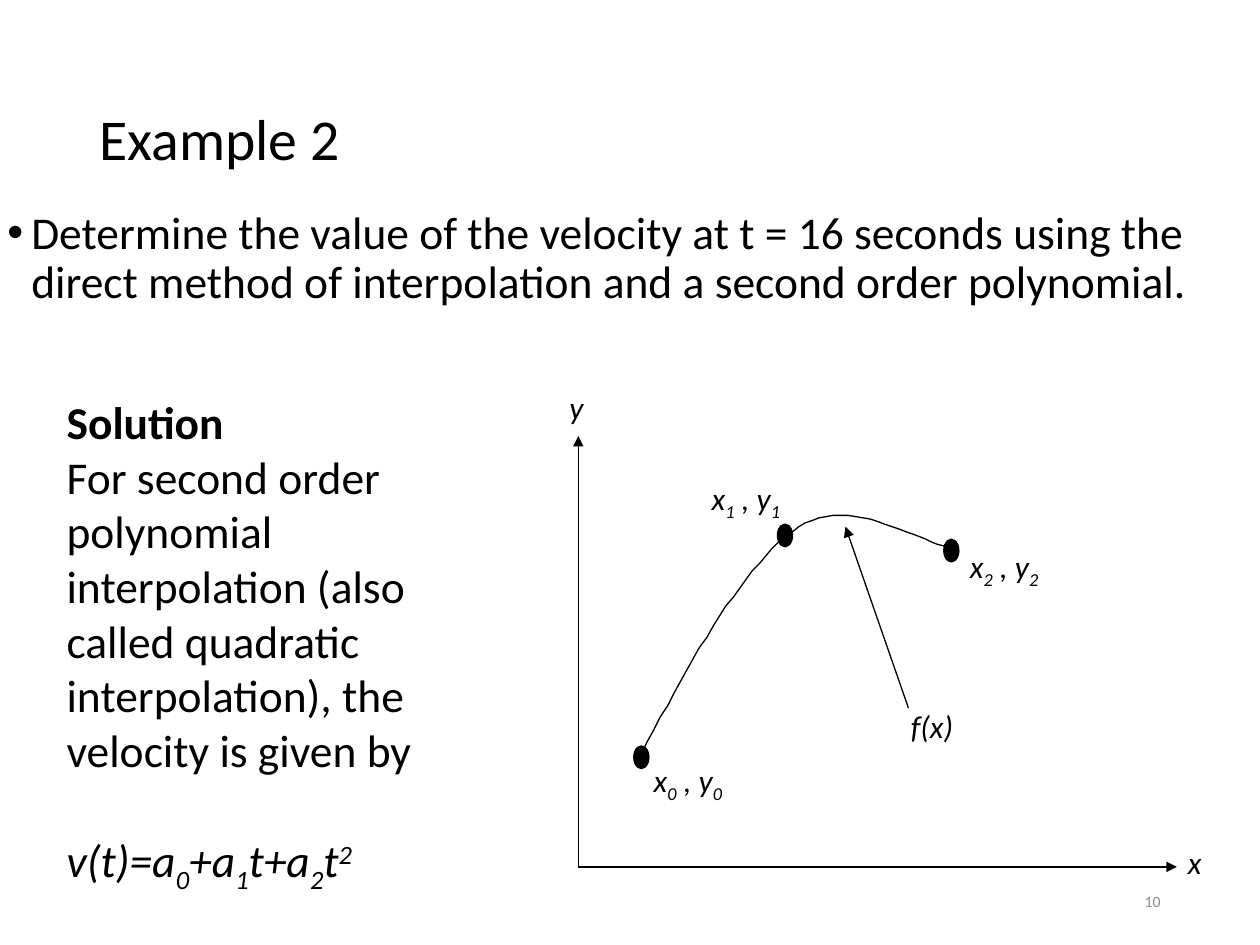
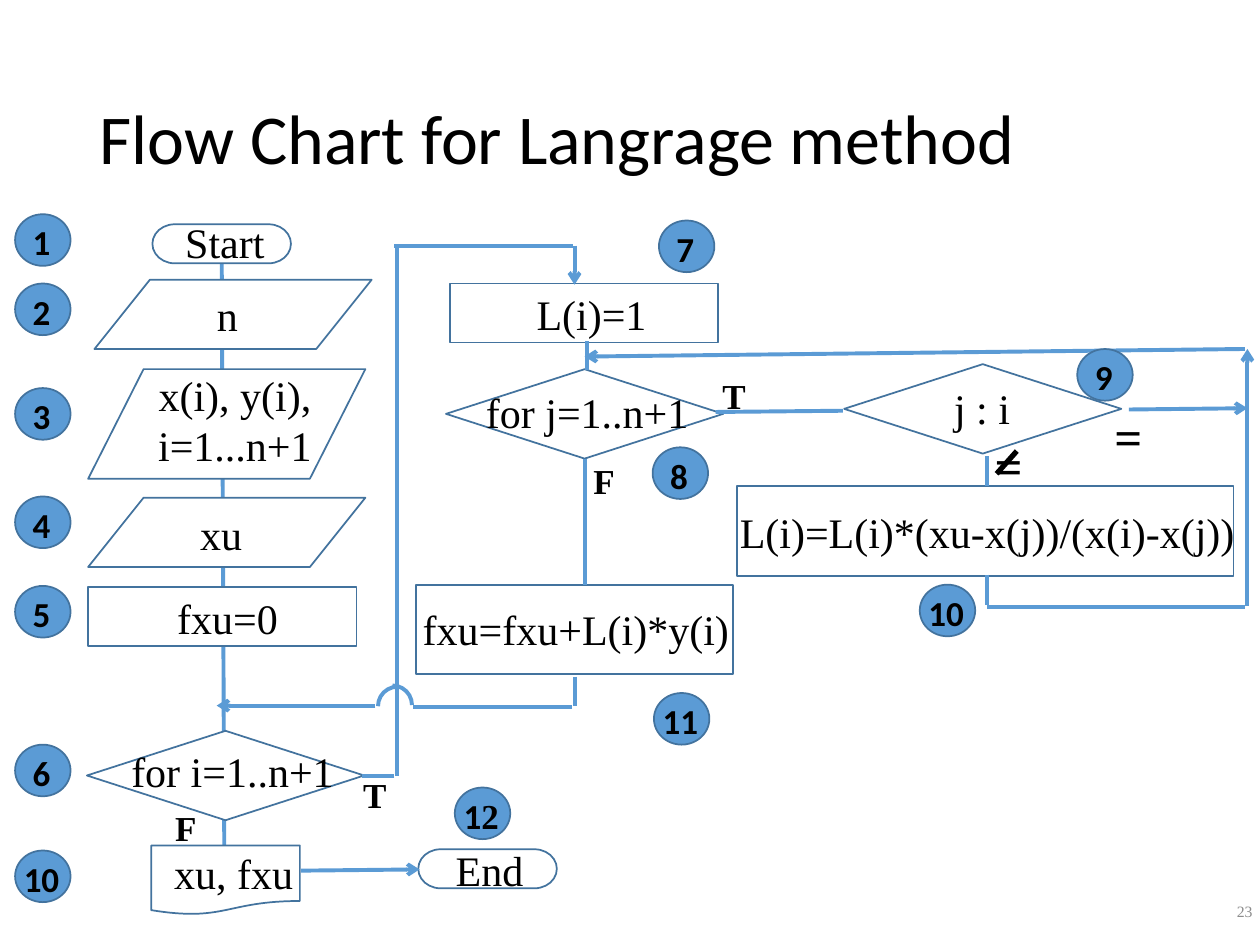
from dataclasses import dataclass, replace
from typing import NamedTuple

from lxml.etree import SubElement
from pptx import Presentation
from pptx.dml.color import RGBColor
from pptx.enum.shapes import MSO_CONNECTOR, MSO_SHAPE
from pptx.enum.text import MSO_ANCHOR, MSO_AUTO_SIZE, PP_ALIGN
from pptx.oxml.ns import qn
from pptx.shapes.autoshape import Shape
from pptx.slide import Slide
from pptx.text.text import TextFrame
from pptx.util import Emu, Pt

PX = 9144  # 100 px to the inch
COLORS = {"ink": "000000", "paper": "FFFFFF", "blue": "5B9BD5",
          "edge": "43739E", "muted": "8C8C8C"}
SANS, SERIF = "Calibri", "Times New Roman"
TITLE_BOX = (69, 40, 862, 145)


class Run(NamedTuple):
    text: str
    base: int = 0
    font: str = ""


class Box(NamedTuple):
    x: int
    y: int
    w: int
    h: int


@dataclass(frozen=True)
class Style:
    size: int
    font: str = SANS
    color: str = "ink"
    bold: bool = False
    italic: bool = False
    align: PP_ALIGN = PP_ALIGN.LEFT
    spacing: float = 1.0


@dataclass(frozen=True)
class Node:
    shape: MSO_SHAPE
    box: Box
    label: str
    label_box: Box
    filled: bool = True


class Wire(NamedTuple):
    x1: int
    y1: int
    x2: int
    y2: int
    arrow: str = ""


class Badge(NamedTuple):
    x: int
    y: int
    runs: list[Run]


TEXT = Style(26)
AXIS = Style(18, italic=True)
STEP = Style(24, SERIF, align=PP_ALIGN.CENTER)
BRANCH = replace(STEP, size=20, bold=True)
SIGN = replace(BRANCH, size=28)
BADGE = Style(20, bold=True, align=PP_ALIGN.CENTER)
NUMBER = Style(9, color="muted", align=PP_ALIGN.RIGHT)


def px(*values: int) -> list[Emu]:
    return [Emu(round(v * PX)) for v in values]


def rgb(name: str) -> RGBColor:
    return RGBColor.from_string(COLORS[name])


def write(tf: TextFrame, runs: list[Run], style: Style, new: bool = False):
    """Fill the first paragraph, or a new one, and return it."""
    p = tf.add_paragraph() if new else tf.paragraphs[0]
    p.alignment = style.align
    p.line_spacing = style.spacing
    for run in runs:
        r = p.add_run()
        r.text = run.text
        r.font.name = run.font or style.font
        r.font.size = Pt(style.size)
        r.font.bold, r.font.italic = style.bold, style.italic
        r.font.color.rgb = rgb(style.color)
        if run.base:
            r.font._element.set("baseline", str(run.base * 1000))
    return p


def add_text(s: Slide, box: Box, runs: list[Run], style: Style,
             anchor: MSO_ANCHOR = MSO_ANCHOR.TOP) -> TextFrame:
    tf = s.shapes.add_textbox(*px(*box)).text_frame
    tf.word_wrap = True
    tf.vertical_anchor = anchor
    write(tf, runs, style)
    return tf


def add_slide(prs: Presentation, title: str, size: int, number: str,
              number_box: Box, number_font: str) -> Slide:
    s = prs.slides.add_slide(prs.slide_layouts[5])
    sp = s.shapes.title
    sp.left, sp.top, sp.width, sp.height = px(*TITLE_BOX)
    tf = sp.text_frame
    tf.auto_size = MSO_AUTO_SIZE.NONE
    tf.vertical_anchor = MSO_ANCHOR.MIDDLE
    write(tf, [Run(title)], Style(size, spacing=0.9))
    add_text(s, number_box, [Run(number)], replace(NUMBER, font=number_font),
             MSO_ANCHOR.MIDDLE)
    return s


def outline(sp: Shape, fill: str, line: str, width: float) -> None:
    """Set fill (none when empty) and line, without a shadow."""
    sp.shadow.inherit = False
    if fill:
        sp.fill.solid()
        sp.fill.fore_color.rgb = rgb(fill)
    else:
        sp.fill.background()
    sp.line.color.rgb = rgb(line)
    sp.line.width = Pt(width)


def add_shape(s: Slide, kind: MSO_SHAPE, box: Box, fill: str, line: str,
              width: float) -> Shape:
    sp = s.shapes.add_shape(kind, *px(*box))
    outline(sp, fill, line, width)
    return sp


def add_wire(s: Slide, wire: Wire, color: str, width: float) -> None:
    cx = s.shapes.add_connector(MSO_CONNECTOR.STRAIGHT, *px(*wire[:4]))
    cx.line.color.rgb = rgb(color)
    cx.line.width = Pt(width)
    if wire.arrow:
        SubElement(cx.line._get_or_add_ln(), qn("a:tailEnd"), type=wire.arrow)
    SubElement(cx._element.spPr, qn("a:effectLst"))


def bezier(points: list[tuple[int, int]], steps: int = 24) -> list[tuple[float, float]]:
    curve = []
    for k in range(1, steps + 1):
        t = k / steps
        weights = ((1 - t) ** 3, 3 * t * (1 - t) ** 2, 3 * t * t * (1 - t), t ** 3)
        curve.append(tuple(sum(w * p[axis] for w, p in zip(weights, points))
                           for axis in (0, 1)))
    return curve


def point_label(i: int) -> list[Run]:
    return [Run("x"), Run(str(i), -25), Run(" , y"), Run(str(i), -25)]


def add_example(prs: Presentation) -> None:
    s = add_slide(prs, "Example 2", 33, "10", Box(706, 695, 225, 40), SANS)

    tf = add_text(s, Box(-4, 162, 1004, 110), [Run(
        "Determine the value of the velocity at t = 16 seconds using the direct "
        "method of interpolation and a second order polynomial.")],
        replace(TEXT, spacing=0.9))
    pPr = tf.paragraphs[0]._p.get_or_add_pPr()
    pPr.set("marL", str(19 * PX))
    pPr.set("indent", str(-19 * PX))
    SubElement(pPr, qn("a:buFont"), typeface="Arial")
    SubElement(pPr, qn("a:buChar"), char="•")

    tf = add_text(s, Box(43, 308, 378, 438), [Run("Solution")],
                  replace(TEXT, bold=True))
    write(tf, [Run("For second order polynomial interpolation (also called quadratic "
                   "interpolation), the velocity is given by")], TEXT, new=True)
    formula = [Run("v(t)=a"), Run("0", -25), Run("+a"), Run("1", -25),
               Run("t+a"), Run("2", -25), Run("t"), Run("2", 30)]
    p = write(tf, formula, replace(TEXT, italic=True), new=True)
    p.space_before = Pt(32)

    for wire in (Wire(459, 688, 934, 688, "triangle"),
                 Wire(459, 688, 459, 346, "triangle"),
                 Wire(721, 562, 671, 418, "triangle")):
        add_wire(s, wire, "ink", 0.75)

    start, knot, end = (509, 598), (634, 418), (759, 436)
    curve = (bezier([start, (550, 521), (592, 445), knot])
             + bezier([knot, (675, 391), (734, 433), end]))
    builder = s.shapes.build_freeform(*start, scale=PX)
    builder.add_line_segments(curve, close=False)
    outline(builder.convert_to_shape(), "", "ink", 0.75)

    for x, y in ((503, 592), (617, 416), (749, 428)):
        add_shape(s, MSO_SHAPE.OVAL, Box(x, y, 12, 18), "ink", "ink", 0.75)
    for i, (x, y) in enumerate(((509, 599), (555, 375), (760, 429))):
        add_text(s, Box(x, y, 94, 40), point_label(i), AXIS)
    for text, x, y, w in (("y", 442, 303, 55), ("x", 933, 664, 55),
                          ("f(x)", 713, 556, 71)):
        add_text(s, Box(x, y, w, 40), [Run(text)], AXIS)


DATA, DECISION = MSO_SHAPE.FLOWCHART_DATA, MSO_SHAPE.FLOWCHART_DECISION
TERMINATOR, RECT = MSO_SHAPE.FLOWCHART_TERMINATOR, MSO_SHAPE.RECTANGLE

NODES = [
    Node(TERMINATOR, Box(121, 178, 110, 31), "Start", Box(92, 167, 173, 50)),
    Node(DATA, Box(75, 222, 220, 55), "n", Box(94, 225, 173, 50)),
    Node(DATA, Box(70, 293, 220, 87), "x(i), y(i), i=1...n+1", Box(100, 288, 173, 91)),
    Node(DATA, Box(70, 395, 220, 55), "xu", Box(89, 399, 173, 50)),
    Node(RECT, Box(70, 466, 213, 47), "fxu=0", Box(94, 465, 173, 50)),
    Node(DECISION, Box(69, 580, 220, 71), "for i=1..n+1", Box(90, 587, 189, 50)),
    Node(MSO_SHAPE.FLOWCHART_DOCUMENT, Box(120, 671, 118, 55), "xu, fxu",
         Box(99, 668, 173, 50)),
    Node(TERMINATOR, Box(332, 674, 110, 31), "End", Box(302, 665, 173, 50)),
    Node(RECT, Box(357, 225, 213, 47), "L(i)=1", Box(383, 224, 173, 50), False),
    Node(DECISION, Box(354, 293, 220, 71), "for j=1..n+1", Box(375, 302, 182, 50), False),
    Node(RECT, Box(330, 464, 252, 71), "fxu=fxu+L(i)*y(i)", Box(319, 474, 276, 50), False),
    Node(DECISION, Box(670, 289, 220, 71), "j : i", Box(693, 299, 173, 50), False),
    Node(RECT, Box(585, 386, 394, 71), "L(i)=L(i)*(xu-x(j))/(x(i)-x(j))",
         Box(577, 397, 413, 50), False),
]

SPINE = Wire(176, 209, 178, 671)
WIRES = [
    # outer loop: from "for i" up to L(i)=1
    Wire(313, 616, 287, 616), Wire(315, 197, 315, 616),
    Wire(455, 195, 313, 195), Wire(456, 195, 456, 226, "arrow"),
    # inner loop: from "for j" round the product and back
    Wire(466, 271, 466, 294), Wire(669, 326, 568, 327),
    Wire(783, 362, 783, 386), Wire(783, 456, 783, 480),
    Wire(988, 482, 783, 482), Wire(990, 481, 990, 277, "arrow"),
    Wire(896, 325, 990, 324, "arrow"), Wire(988, 277, 464, 283, "arrow"),
    # sum, return to "for i", and exit
    Wire(464, 364, 464, 464), Wire(456, 537, 456, 560),
    Wire(454, 561, 328, 561), Wire(298, 560, 172, 560, "arrow"),
    Wire(239, 691, 333, 690, "arrow"),
]

BADGES = [Badge(x, y, [Run(text)]) for text, x, y in (
    ("1", 12, 170), ("2", 12, 225), ("3", 12, 308), ("4", 12, 394),
    ("5", 12, 465), ("6", 12, 591), ("10", 12, 675), ("7", 523, 175),
    ("8", 518, 355), ("9", 855, 277), ("10", 730, 464), ("11", 519, 550))]
BADGES.append(Badge(361, 625, [Run("1"), Run("2", font=SERIF)]))


def add_badge(s: Slide, badge: Badge) -> None:
    sp = add_shape(s, MSO_SHAPE.OVAL, Box(badge.x, badge.y, 44, 41), "blue", "edge", 1)
    tf = sp.text_frame
    tf.word_wrap = False
    tf.vertical_anchor = MSO_ANCHOR.MIDDLE
    tf.margin_left, tf.margin_top, tf.margin_right, tf.margin_bottom = px(0, 3, 2, 0)
    write(tf, badge.runs, BADGE)


def add_flow_chart(prs: Presentation) -> None:
    s = add_slide(prs, "Flow Chart for Langrage method", 40, "23",
                  Box(924, 708, 80, 30), SERIF)
    add_wire(s, SPINE, "blue", 2.25)
    for node in NODES:
        add_shape(s, node.shape, node.box, "paper" if node.filled else "", "edge", 1)
        add_text(s, node.label_box, [Run(node.label)], STEP)
    for wire in WIRES:
        add_wire(s, wire, "blue", 2.25)

    # two quarter arcs carry the return line over the outer loop
    add_shape(s, MSO_SHAPE.ARC, Box(296, 544, 31, 31), "", "blue", 2.25)
    left = add_shape(s, MSO_SHAPE.ARC, Box(300, 545, 31, 31), "", "blue", 2.25)
    left._element.spPr.find(qn("a:xfrm")).set("flipH", "1")

    for text, x, y in (("T", 267, 609), ("F", 117, 635), ("T", 552, 292), ("F", 449, 360)):
        add_text(s, Box(x, y, 61, 44), [Run(text)], BRANCH)
    for x, y, w in ((865, 318, 61), (766, 341, 69)):
        add_text(s, Box(x, y, w, 57), [Run("=")], SIGN)
    add_wire(s, Wire(791, 376, 807, 358), "ink", 3)
    for badge in BADGES:
        add_badge(s, badge)


def main() -> None:
    prs = Presentation()
    prs.slide_width, prs.slide_height = px(1000, 750)
    add_example(prs)
    add_flow_chart(prs)
    prs.save("out.pptx")


if __name__ == "__main__":
    main()
